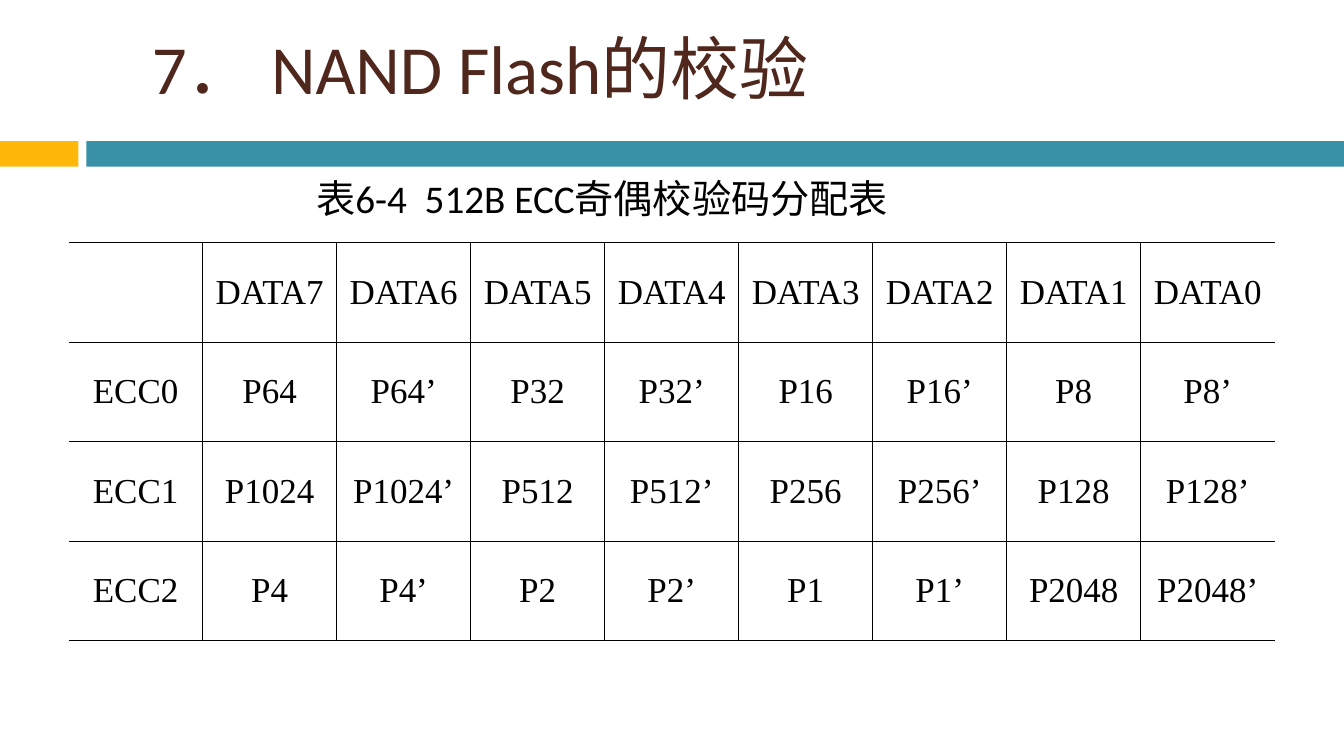
from dataclasses import dataclass

from lxml.etree import SubElement
from pptx import Presentation
from pptx.dml.color import RGBColor
from pptx.enum.shapes import MSO_SHAPE
from pptx.enum.text import MSO_ANCHOR, MSO_AUTO_SIZE, PP_ALIGN
from pptx.oxml.ns import qn
from pptx.util import Cm, Pt


@dataclass(frozen=True)
class Theme:
    """Colours, fonts and type sizes of the deck."""
    gold: str = "FEB80A"
    teal: str = "3891A7"
    brown: str = "4F271C"
    black: str = "000000"
    heading_font: str = "Calibri"
    table_font: str = "Times New Roman"
    title_size: float = 49.2
    caption_size: float = 28
    table_size: float = 25
    rule_width: float = 1


THEME = Theme()

PARITY_ROWS = [
    ["", *(f"DATA{bit}" for bit in range(7, -1, -1))],
    ["ECC0", "P64", "P64’", "P32", "P32’", "P16", "P16’", "P8", "P8’"],
    ["ECC1", "P1024", "P1024’", "P512", "P512’", "P256", "P256’", "P128", "P128’"],
    ["ECC2", "P4", "P4’", "P2", "P2’", "P1", "P1’", "P2048", "P2048’"],
]


def set_all(target, values):
    """Set every attribute named in values on the target."""
    for name, value in values.items():
        setattr(target, name, value)


def add_span(para, text, font, size, colour):
    """Add a formatted run of text to a paragraph."""
    span = para.add_run()
    span.text = text
    set_all(span.font, {"name": font, "size": Pt(size)})
    span.font.color.rgb = RGBColor.from_string(colour)


def add_heading(page, box, text, size, colour, frame_format):
    """Place one line of heading text in the box."""
    frame = page.shapes.add_textbox(*box).text_frame
    set_all(frame, frame_format)
    add_span(frame.paragraphs[0], text, THEME.heading_font, size, colour)


def add_divider(page, box):
    """Draw the short gold bar and the long teal bar across the box."""
    left, top, width, height = box
    gold_width, teal_offset = Cm(1.98), Cm(2.18)
    bars = [
        (left, gold_width, THEME.gold),
        (left + teal_offset, width - teal_offset, THEME.teal),
    ]
    for bar_left, bar_width, colour in bars:
        bar = page.shapes.add_shape(MSO_SHAPE.RECTANGLE, bar_left, top, bar_width, height)
        bar.shadow.inherit = False
        bar.fill.solid()
        bar.fill.fore_color.rgb = RGBColor.from_string(colour)
        bar.line.fill.background()


def add_borders(cell, visible):
    """Draw the cell's visible sides and clear the others."""
    properties = cell._tc.get_or_add_tcPr()
    for side in "LRTB":
        line = SubElement(properties, qn(f"a:ln{side}"), w=str(Pt(THEME.rule_width)))
        if side in visible:
            fill = SubElement(line, qn("a:solidFill"))
            SubElement(fill, qn("a:srgbClr"), val=THEME.black)
        else:
            SubElement(line, qn("a:noFill"))


def add_parity_table(page, box, rows):
    """Fill the box with an evenly spaced table, open at left and right."""
    left, top, width, height = box
    last = len(rows[0]) - 1
    table = page.shapes.add_table(len(rows), last + 1, left, top, width, height).table
    set_all(table, {"first_row": False, "horz_banding": False})
    for row_index, row in enumerate(rows):
        spacing = Pt(2 if row_index else 1)
        for column_index, text in enumerate(row):
            cell = table.cell(row_index, column_index)
            set_all(cell, {
                "vertical_anchor": MSO_ANCHOR.MIDDLE,
                "margin_left": Cm(0.23), "margin_right": Cm(0.23),
                "margin_top": 0, "margin_bottom": 0,
            })
            left_side = "L" if column_index > 0 else ""
            right_side = "R" if column_index < last else ""
            add_borders(cell, "TB" + left_side + right_side)
            cell.fill.background()
            para = cell.text_frame.paragraphs[0]
            set_all(para, {
                "alignment": PP_ALIGN.CENTER,
                "space_before": spacing, "space_after": spacing,
            })
            if text:
                add_span(para, text, THEME.table_font, THEME.table_size, THEME.black)


def main():
    """Build and save the one-page deck."""
    deck = Presentation()
    set_all(deck, {"slide_width": Cm(33.87), "slide_height": Cm(19.05)})
    page = deck.slides.add_slide(deck.slide_layouts[6])
    add_divider(page, (0, Cm(3.56), deck.slide_width, Cm(0.64)))
    add_heading(page, (Cm(7.72), Cm(4.27), Cm(15.54), Cm(1.45)),
                "表6-4  512B ECC奇偶校验码分配表", THEME.caption_size, THEME.black,
                {"word_wrap": False, "auto_size": MSO_AUTO_SIZE.SHAPE_TO_FIT_TEXT})
    add_parity_table(page, (Cm(1.73), Cm(6.12), Cm(30.4), Cm(10.03)), PARITY_ROWS)
    add_heading(page, (Cm(3.58), 0, Cm(30.2), Cm(3.38)),
                "7． NAND Flash的校验", THEME.title_size, THEME.brown,
                {"word_wrap": True, "vertical_anchor": MSO_ANCHOR.MIDDLE})
    deck.save("out.pptx")


if __name__ == "__main__":
    main()
